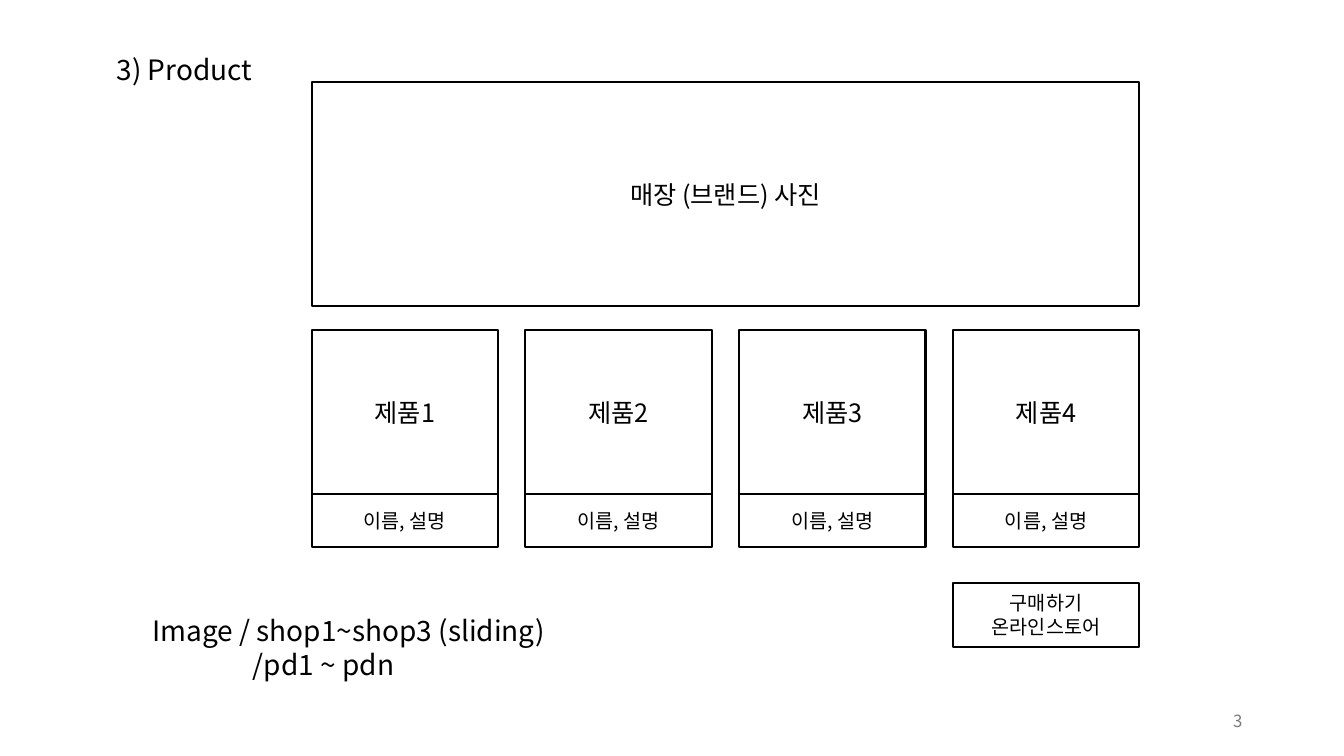
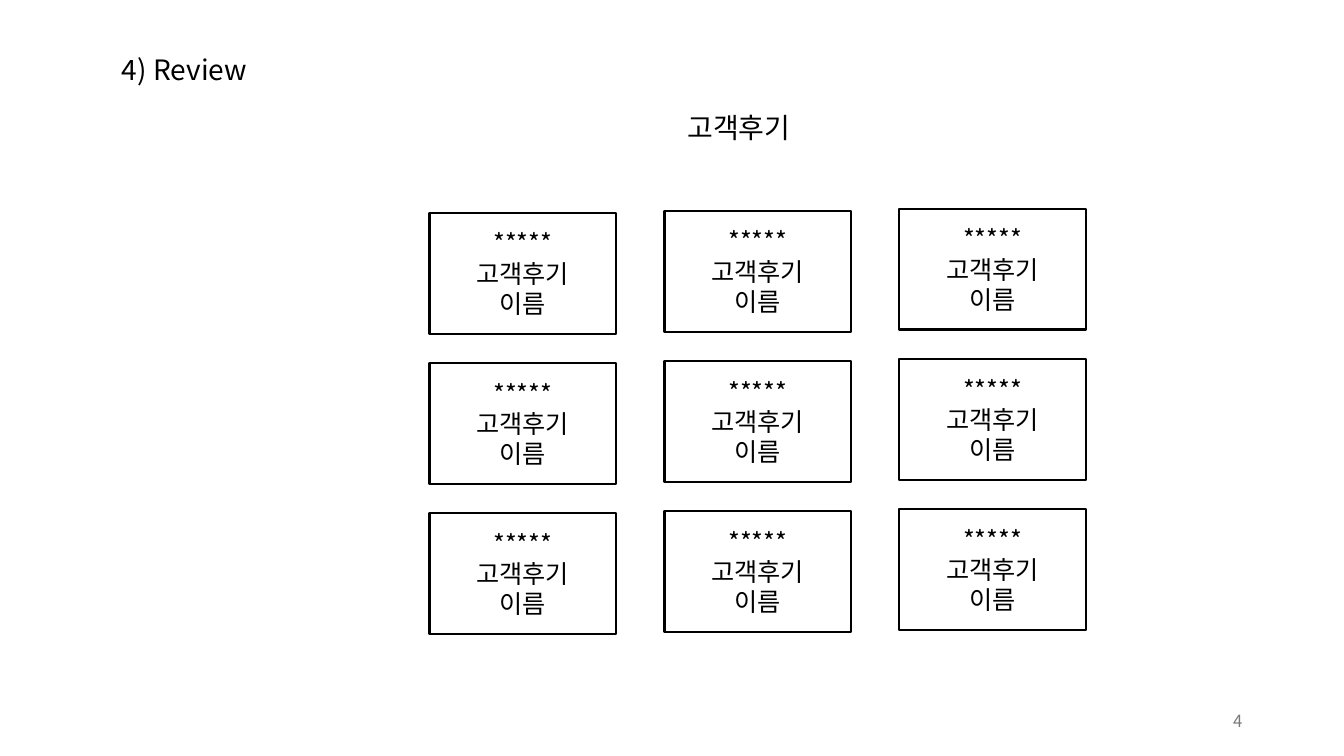
import pptx
import pptx.util
import pptx.dml.color
import pptx.enum.shapes
import pptx.enum.text
import pptx.oxml.ns
import lxml.etree

FONT = "Noto Sans CJK KR"
BLACK, WHITE, GRAY = "000000", "FFFFFF", "797979"
ALIGN = pptx.enum.text.PP_ALIGN
ANCHOR = pptx.enum.text.MSO_ANCHOR
inch = pptx.util.Inches

CARD_W = 1.85
PRODUCT_X, PRODUCT_STEP = 3.09, 2.12
REVIEW_X, REVIEW_Y = 4.26, 2.11
REVIEW_STEP_X, REVIEW_STEP_Y, REVIEW_RISE = 2.33, 1.49, 0.02


def rgb(color):
    return pptx.dml.color.RGBColor.from_string(color)


def write(s, lines, size, align, anchor, color=BLACK, indents=()):
    """Fill a shape with one paragraph per line; indents are in inches."""
    tf = s.text_frame
    tf.word_wrap = True
    tf.vertical_anchor = anchor
    for i, line in enumerate(lines):
        p = tf.paragraphs[0] if i == 0 else tf.add_paragraph()
        p.alignment = align
        if i < len(indents):
            p._p.get_or_add_pPr().set("marL", str(inch(indents[i])))
        r = p.add_run()
        r.text = line
        r.font.size = pptx.util.Pt(size)
        r.font.name = FONT
        r.font.color.rgb = rgb(color)
        ea = lxml.etree.SubElement(r.font._element, pptx.oxml.ns.qn("a:ea"))
        ea.set("typeface", FONT)


def add_box(sp, x, y, w, h, lines, size=18):
    s = sp.add_shape(pptx.enum.shapes.MSO_SHAPE.RECTANGLE,
                     inch(x), inch(y), inch(w), inch(h))
    s.shadow.inherit = False
    s.fill.solid()
    s.fill.fore_color.rgb = rgb(WHITE)
    s.line.color.rgb = rgb(BLACK)
    s.line.width = pptx.util.Pt(1.5)
    write(s, lines, size, ALIGN.CENTER, ANCHOR.MIDDLE)


def add_label(sp, x, y, w, h, lines, size=20, align=ALIGN.CENTER,
              anchor=ANCHOR.TOP, **style):
    s = sp.add_textbox(inch(x), inch(y), inch(w), inch(h))
    write(s, lines, size, align, anchor, **style)


def add_slide(prs, title, number):
    sp = prs.slides.add_slide(prs.slide_layouts[6]).shapes
    add_label(sp, 0.98, 0.47, 1.7, 0.44, [title])
    add_label(sp, 9.42, 6.95, 3, 0.4, [str(number)], 12, ALIGN.RIGHT,
              ANCHOR.MIDDLE, color=GRAY)
    return sp


def product_slide(prs):
    sp = add_slide(prs, "3) Product", 3)
    add_box(sp, PRODUCT_X, 0.81, 3 * PRODUCT_STEP + CARD_W, 2.23,
            ["매장 (브랜드) 사진"])
    for i in range(4):
        x = PRODUCT_X + i * PRODUCT_STEP
        add_box(sp, x, 3.27, CARD_W, 1.64, [f"제품{i + 1}"])
        add_box(sp, x, 4.9, CARD_W, 0.53, ["이름, 설명"], 14)
    add_box(sp, PRODUCT_X + 3 * PRODUCT_STEP, 5.78, CARD_W, 0.64,
            ["구매하기", "온라인스토어"], 14)
    add_label(sp, 1.41, 6.04, 4.55, 0.77,
              ["Image / shop1~shop3 (sliding)", "/pd1 ~ pdn"],
              align=ALIGN.LEFT, indents=(0, 1))


def review_slide(prs):
    sp = add_slide(prs, "4) Review", 4)
    add_label(sp, 6.48, 1.05, 1.7, 0.44, ["고객후기"])
    for row in range(3):
        for col in range(3):
            add_box(sp, REVIEW_X + col * REVIEW_STEP_X,
                    REVIEW_Y + row * REVIEW_STEP_Y - col * REVIEW_RISE,
                    CARD_W, 1.2, ["*****", "고객후기", "이름"])


def main():
    prs = pptx.Presentation()
    prs.slide_width, prs.slide_height = inch(13.33), inch(7.5)
    product_slide(prs)
    review_slide(prs)
    prs.save("out.pptx")


if __name__ == "__main__":
    main()
